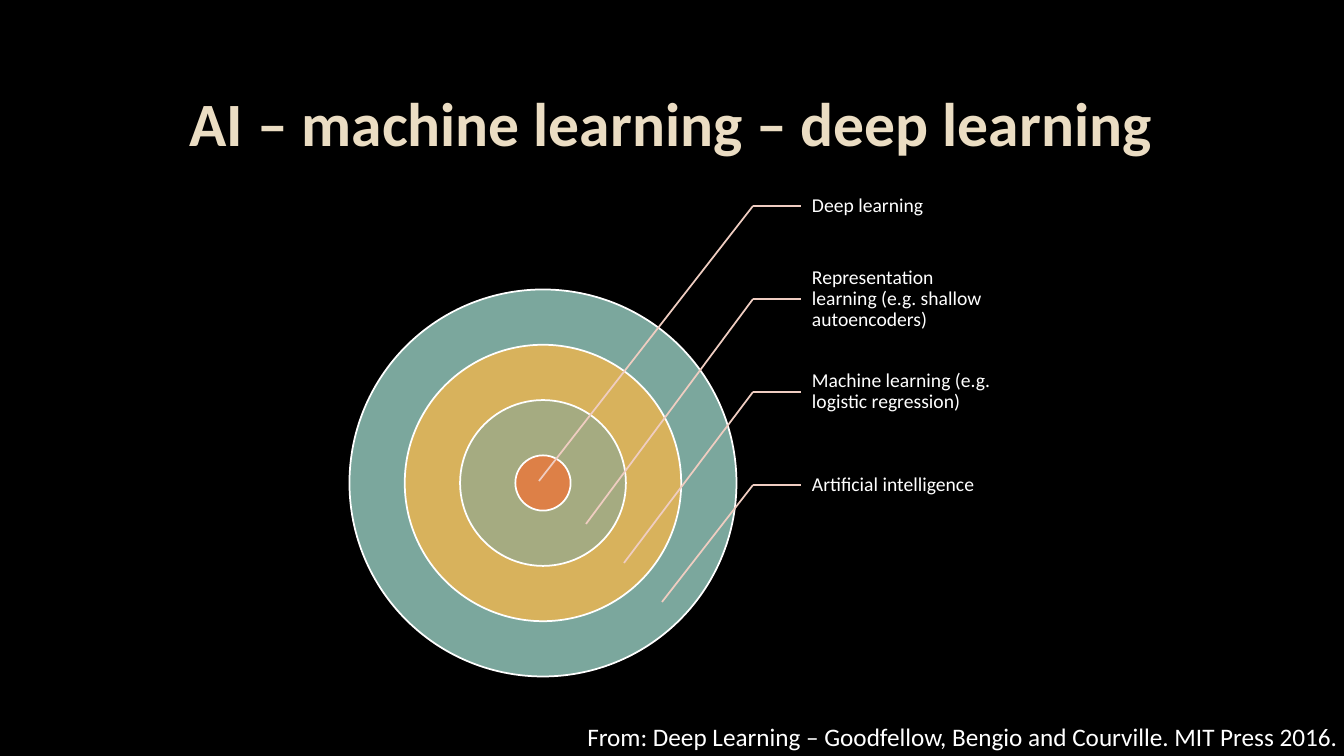
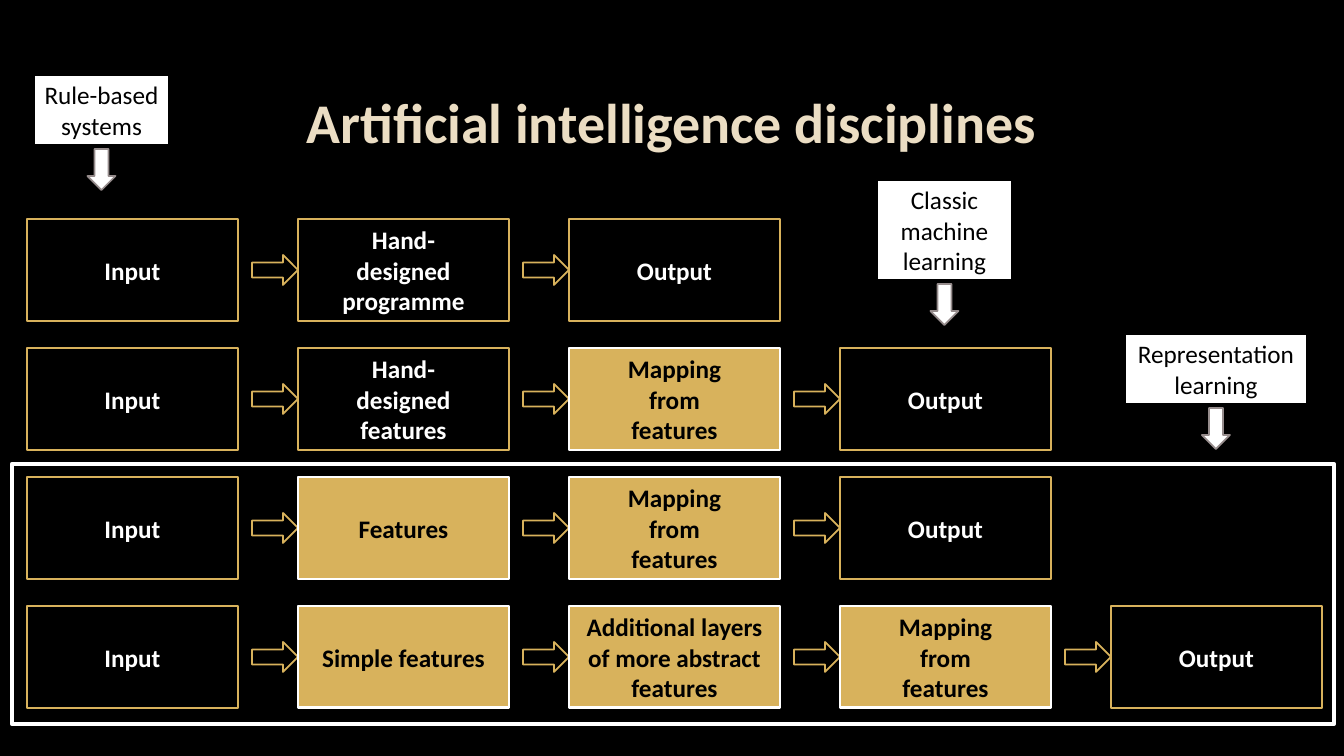
"""Builds two slides on artificial intelligence disciplines."""
import dataclasses

import lxml.etree
import pptx
import pptx.dml.color
import pptx.enum.shapes
import pptx.enum.text
import pptx.oxml.ns
import pptx.util

SHAPE = pptx.enum.shapes.MSO_SHAPE
ALIGN = pptx.enum.text.PP_ALIGN
MIDDLE = pptx.enum.text.MSO_ANCHOR.MIDDLE
SLIDE_SIZE = (1344, 756)
EMU_PER_PX = 12192000 / 1344


@dataclasses.dataclass(frozen=True)
class Theme:
    font: str = "Calibri"
    black: str = "000000"
    white: str = "FFFFFF"
    cream: str = "EBDDC3"
    teal: str = "7BA79D"
    gold: str = "D8B25C"
    olive: str = "A5AB81"
    orange: str = "DD8047"
    pink: str = "EFCDC1"
    grey: str = "968C8C"
    body: int = 18
    label: int = 14
    thin: float = 1.25
    medium: int = 2
    thick: int = 3


THEME = Theme()
TITLE_BOX = (101, 68, 1141, 107)

NESTING = {
    "title": ("AI – machine learning – deep learning", 44),
    "source": "From: Deep Learning – Goodfellow, Bengio and Courville. MIT Press 2016.",
    "rings": [THEME.teal, THEME.gold, THEME.olive, THEME.orange],
    "labels": [
        ("Deep learning", (539, 481)),
        ("Representation learning (e.g. shallow autoencoders)", (586, 524)),
        ("Machine learning (e.g. logistic regression)", (624, 563)),
        ("Artificial intelligence", (662, 602)),
    ],
}
RING_CENTRE, RING_DIAMETER = (543, 483), 387
LABEL_LEFT, LABEL_WIDTH, LABEL_HEIGHT = 801, 194, 92
LABEL_CENTRE, LABEL_PITCH, ELBOW = 206, 93, 753
SOURCE_BOX = (560, 716, 778, 40)

MAPPING = "Mapping\vfrom\vfeatures"
DISCIPLINES = {
    "title": ("Artificial intelligence disciplines", 40),
    "rows": [
        ["Input", "Hand-\vdesigned\vprogramme", "Output"],
        ["Input", "Hand-\vdesigned\vfeatures", MAPPING, "Output"],
        ["Input", "Features", MAPPING, "Output"],
        ["Input", "Simple features", "Additional layers of more abstract features", MAPPING, "Output"],
    ],
    "learned": {"Features", "Simple features", "Additional layers of more abstract features", MAPPING},
    "callouts": [
        ("Rule-based systems", (34, 75, 135, 70)),
        ("Classic machine learning", (877, 180, 135, 100)),
        ("Representation learning", (1125, 334, 182, 70)),
    ],
}
GRID_LEFT, GRID_TOP, COLUMN_PITCH, ROW_PITCH = 27, 219, 271, 129
STEP_WIDTH, STEP_HEIGHT = 211, 102
ARROW_WIDTH, ARROW_HEIGHT = 46, 30
POINTER_WIDTH, POINTER_HEIGHT, POINTER_GAP = 28, 41, 4
FRAME_BOX = (12, 464, 1322, 260)


def px(length):
    return round(length * EMU_PER_PX)


def emu(box):
    return [px(length) for length in box]


def rgb(colour):
    return pptx.dml.color.RGBColor.from_string(colour)


def write(shape, text, size, colour, bold=False, align=ALIGN.CENTER):
    text_frame = shape.text_frame
    text_frame.text = text
    text_frame.word_wrap = True
    text_frame.vertical_anchor = MIDDLE
    for paragraph in text_frame.paragraphs:
        paragraph.alignment = align
        for run in paragraph.runs:
            run.font.name = THEME.font
            run.font.size = pptx.util.Pt(size)
            run.font.bold = bold
            run.font.color.rgb = rgb(colour)
    return text_frame


def add_shape(slide, kind, box, fill, line, width=THEME.thin):
    shape = slide.shapes.add_shape(kind, *emu(box))
    shape.shadow.inherit = False
    if fill:
        shape.fill.solid()
        shape.fill.fore_color.rgb = rgb(fill)
    else:
        shape.fill.background()
    shape.line.color.rgb = rgb(line)
    shape.line.width = pptx.util.Pt(width)
    return shape


def add_line(slide, start, end):
    line = slide.shapes.add_connector(pptx.enum.shapes.MSO_CONNECTOR.STRAIGHT, *emu(start + end))
    line.line.color.rgb = rgb(THEME.pink)
    line.line.width = pptx.util.Pt(THEME.thin)
    lxml.etree.SubElement(line._element.spPr, pptx.oxml.ns.qn("a:effectLst"))
    return line


def add_slide(presentation, title, size):
    slide = presentation.slides.add_slide(presentation.slide_layouts[5])
    shape = slide.shapes.title
    shape.left, shape.top, shape.width, shape.height = emu(TITLE_BOX)
    write(shape, title, size, THEME.cream, bold=True)
    return slide


def add_label(slide, text, centre, target):
    box = (LABEL_LEFT, centre - LABEL_HEIGHT // 2, LABEL_WIDTH, LABEL_HEIGHT)
    label = slide.shapes.add_textbox(*emu(box))
    text_frame = write(label, text, THEME.label, THEME.white, align=ALIGN.LEFT)
    text_frame.margin_left = px(11)
    text_frame.margin_top = text_frame.margin_right = text_frame.margin_bottom = px(2)
    text_frame.paragraphs[0].line_spacing = 0.9
    elbow = (ELBOW, centre)
    add_line(slide, elbow, (LABEL_LEFT, centre)).end_connect(label, 1)
    add_line(slide, elbow, target)


def build_nesting(presentation):
    slide = add_slide(presentation, *NESTING["title"])
    centre_x, centre_y = RING_CENTRE
    parts = 2 * len(NESTING["rings"]) - 1
    for index, colour in enumerate(NESTING["rings"]):
        diameter = RING_DIAMETER * (parts - 2 * index) / parts
        box = (centre_x - diameter / 2, centre_y - diameter / 2, diameter, diameter)
        add_shape(slide, SHAPE.OVAL, box, colour, THEME.white)
    for index, (text, target) in enumerate(NESTING["labels"]):
        add_label(slide, text, LABEL_CENTRE + index * LABEL_PITCH, target)
    source = slide.shapes.add_textbox(*emu(SOURCE_BOX))
    write(source, NESTING["source"], THEME.body, THEME.white, align=ALIGN.RIGHT).margin_right = 0


def add_step(slide, text, left, top):
    box = (left, top, STEP_WIDTH, STEP_HEIGHT)
    if text in DISCIPLINES["learned"]:
        shape = add_shape(slide, SHAPE.RECTANGLE, box, THEME.gold, THEME.white, THEME.medium)
        colour = THEME.black
    else:
        shape = add_shape(slide, SHAPE.RECTANGLE, box, None, THEME.gold)
        colour = THEME.white
    write(shape, text, THEME.body, colour, bold=True)


def add_callout(slide, text, box):
    left, top, width, height = box
    callout = add_shape(slide, SHAPE.RECTANGLE, box, THEME.white, THEME.black)
    write(callout, text, THEME.body, THEME.black)
    pointer_left = left + (width - POINTER_WIDTH) / 2
    pointer_box = (pointer_left, top + height + POINTER_GAP, POINTER_WIDTH, POINTER_HEIGHT)
    add_shape(slide, SHAPE.DOWN_ARROW, pointer_box, THEME.white, THEME.grey)


def build_disciplines(presentation):
    slide = add_slide(presentation, *DISCIPLINES["title"])
    add_shape(slide, SHAPE.RECTANGLE, FRAME_BOX, None, THEME.white, THEME.thick)
    for row, steps in enumerate(DISCIPLINES["rows"]):
        top = GRID_TOP + row * ROW_PITCH
        arrow_top = top + (STEP_HEIGHT - ARROW_HEIGHT) / 2
        for column, text in enumerate(steps):
            left = GRID_LEFT + column * COLUMN_PITCH
            if column:
                arrow_box = (left - ARROW_WIDTH, arrow_top, ARROW_WIDTH, ARROW_HEIGHT)
                add_shape(slide, SHAPE.RIGHT_ARROW, arrow_box, None, THEME.gold)
            add_step(slide, text, left, top)
    for text, box in DISCIPLINES["callouts"]:
        add_callout(slide, text, box)


def main():
    presentation = pptx.Presentation()
    presentation.slide_width, presentation.slide_height = emu(SLIDE_SIZE)
    background = presentation.slide_master.background.fill
    background.solid()
    background.fore_color.rgb = rgb(THEME.black)
    build_nesting(presentation)
    build_disciplines(presentation)
    presentation.save("out.pptx")


if __name__ == "__main__":
    main()
